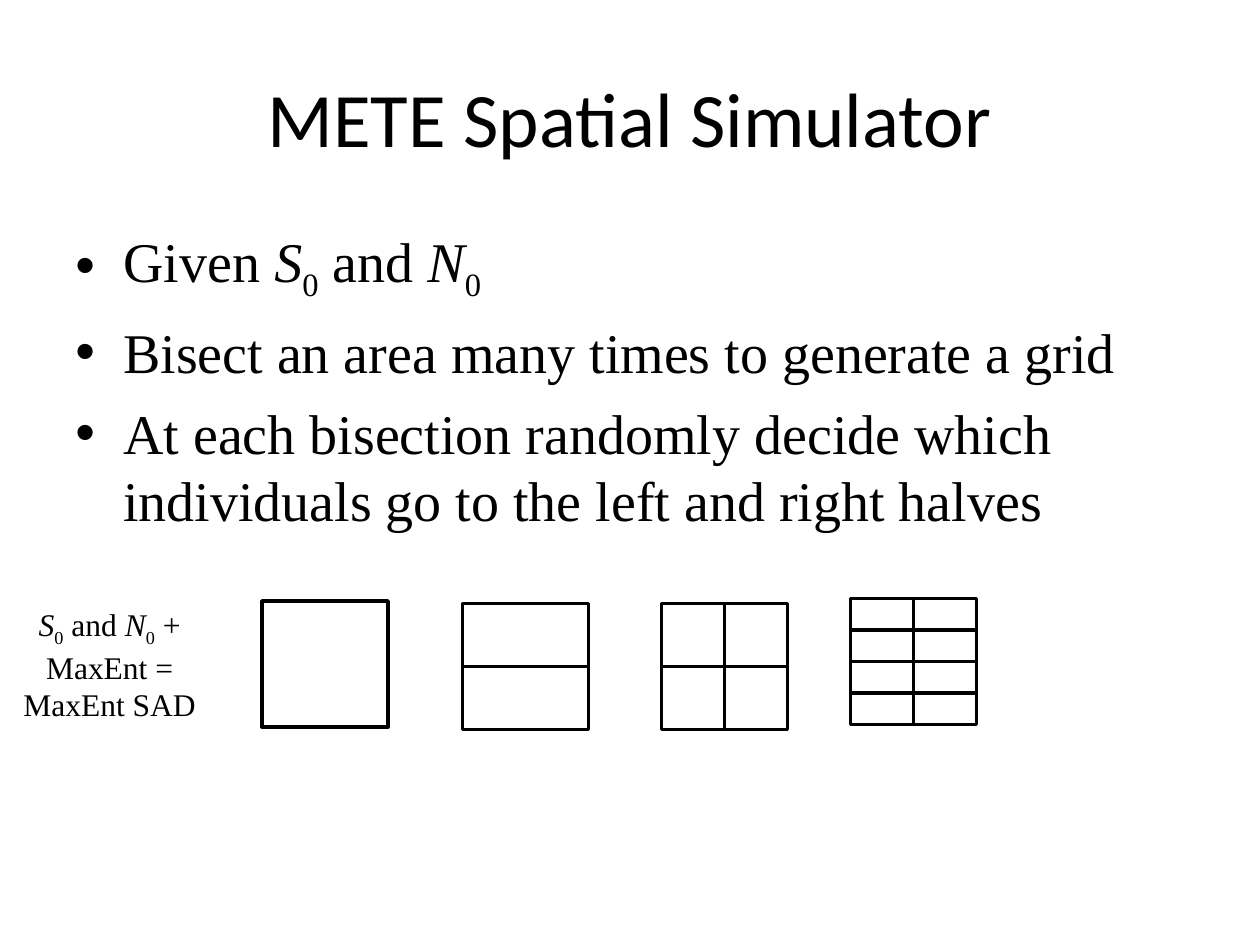
from lxml.etree import SubElement
from pptx import Presentation
from pptx.dml.color import RGBColor
from pptx.enum.shapes import MSO_CONNECTOR, MSO_SHAPE
from pptx.enum.text import MSO_ANCHOR, MSO_AUTO_SIZE, PP_ALIGN
from pptx.oxml.ns import qn
from pptx.util import Inches, Pt

COLORS = {"ink": "000000", "background": "FFFFFF"}
SERIF = "Times New Roman"
SPECIES_AND_INDIVIDUALS = [
    ("S", "italic"), ("0", "subscript"), (" and ", ""),
    ("N", "italic"), ("0", "subscript"),
]
BULLETS = [
    [("Given ", ""), *SPECIES_AND_INDIVIDUALS],
    [("Bisect an area many times to generate a grid", "")],
    [("At each bisection randomly decide which individuals go to the left and right halves", "")],
]
SQUARE_SIZE = 1
# left, top, columns, rows
BISECTIONS = [
    (2.08, 4.77, 1, 1),
    (3.67, 4.79, 1, 2),
    (5.25, 4.79, 2, 2),
    (6.75, 4.75, 2, 4),
]


def color(name):
    return RGBColor.from_string(COLORS[name])


def add_text_frame(slide, left, top, width, height):
    box = slide.shapes.add_textbox(Inches(left), Inches(top), Inches(width), Inches(height))
    box.text_frame.word_wrap = True
    return box.text_frame


def add_runs(paragraph, parts, size, font_name=SERIF):
    """Add (text, style) parts; style is "", "italic" or "subscript"."""
    for text, style in parts:
        run = paragraph.add_run()
        run.text = text
        run.font.name = font_name
        run.font.size = Pt(size)
        run.font.color.rgb = color("ink")
        run.font.italic = style == "italic"
        if style == "subscript":
            run.font._element.set("baseline", "-25000")


def set_bullet(paragraph):
    properties = paragraph._p.get_or_add_pPr()
    properties.set("marL", str(Inches(0.38)))
    properties.set("indent", str(Inches(-0.38)))
    bullet_color = SubElement(properties, qn("a:buClr"))
    SubElement(bullet_color, qn("a:srgbClr")).set("val", COLORS["ink"])
    SubElement(properties, qn("a:buFont")).set("typeface", "Arial")
    SubElement(properties, qn("a:buChar")).set("char", "•")


def add_title(slide):
    frame = add_text_frame(slide, 0.5, 0.3, 9, 1.25)
    frame.vertical_anchor = MSO_ANCHOR.MIDDLE
    paragraph = frame.paragraphs[0]
    paragraph.alignment = PP_ALIGN.CENTER
    add_runs(paragraph, [("METE Spatial Simulator", "")], 44, "Calibri")


def add_bullets(slide):
    frame = add_text_frame(slide, 0.5, 1.75, 9, 4.95)
    for index, parts in enumerate(BULLETS):
        paragraph = frame.add_paragraph() if index else frame.paragraphs[0]
        paragraph.space_before = Pt(8)
        set_bullet(paragraph)
        add_runs(paragraph, parts, 32)


def add_caption(slide):
    frame = add_text_frame(slide, 0.08, 4.75, 1.58, 1.04)
    frame.auto_size = MSO_AUTO_SIZE.SHAPE_TO_FIT_TEXT
    paragraph = frame.paragraphs[0]
    paragraph.alignment = PP_ALIGN.CENTER
    add_runs(paragraph, [*SPECIES_AND_INDIVIDUALS, (" + MaxEnt = MaxEnt SAD", "")], 18)


def add_square(slide, left, top):
    square = slide.shapes.add_shape(
        MSO_SHAPE.RECTANGLE, Inches(left), Inches(top), Inches(SQUARE_SIZE), Inches(SQUARE_SIZE)
    )
    square.shadow.inherit = False
    square.fill.background()
    square.line.color.rgb = color("ink")
    square.line.width = Pt(2)
    return square


def add_divider(slide, start, end):
    divider = slide.shapes.add_connector(
        MSO_CONNECTOR.STRAIGHT, *(Inches(value) for value in (*start, *end))
    )
    divider.line.color.rgb = color("ink")
    divider.line.width = Pt(2.25)
    SubElement(divider._element.spPr, qn("a:effectLst"))
    return divider


def add_bisected_square(slide, left, top, columns, rows):
    square = add_square(slide, left, top)
    right, bottom = left + SQUARE_SIZE, top + SQUARE_SIZE
    for row in range(1, rows):
        y = top + SQUARE_SIZE * row / rows
        divider = add_divider(slide, (left, y), (right, y))
        if row * 2 == rows:
            divider.begin_connect(square, 1)
            divider.end_connect(square, 3)
    for column in range(1, columns):
        x = left + SQUARE_SIZE * column / columns
        divider = add_divider(slide, (x, top), (x, bottom))
        if column * 2 == columns:
            divider.begin_connect(square, 0)
            divider.end_connect(square, 2)


def main():
    presentation = Presentation()
    presentation.slide_width = Inches(10)
    presentation.slide_height = Inches(7.5)
    slide = presentation.slides.add_slide(presentation.slide_layouts[6])
    slide.background.fill.solid()
    slide.background.fill.fore_color.rgb = color("background")
    add_title(slide)
    add_bullets(slide)
    for bisection in BISECTIONS:
        add_bisected_square(slide, *bisection)
    add_caption(slide)
    presentation.save("out.pptx")


if __name__ == "__main__":
    main()
